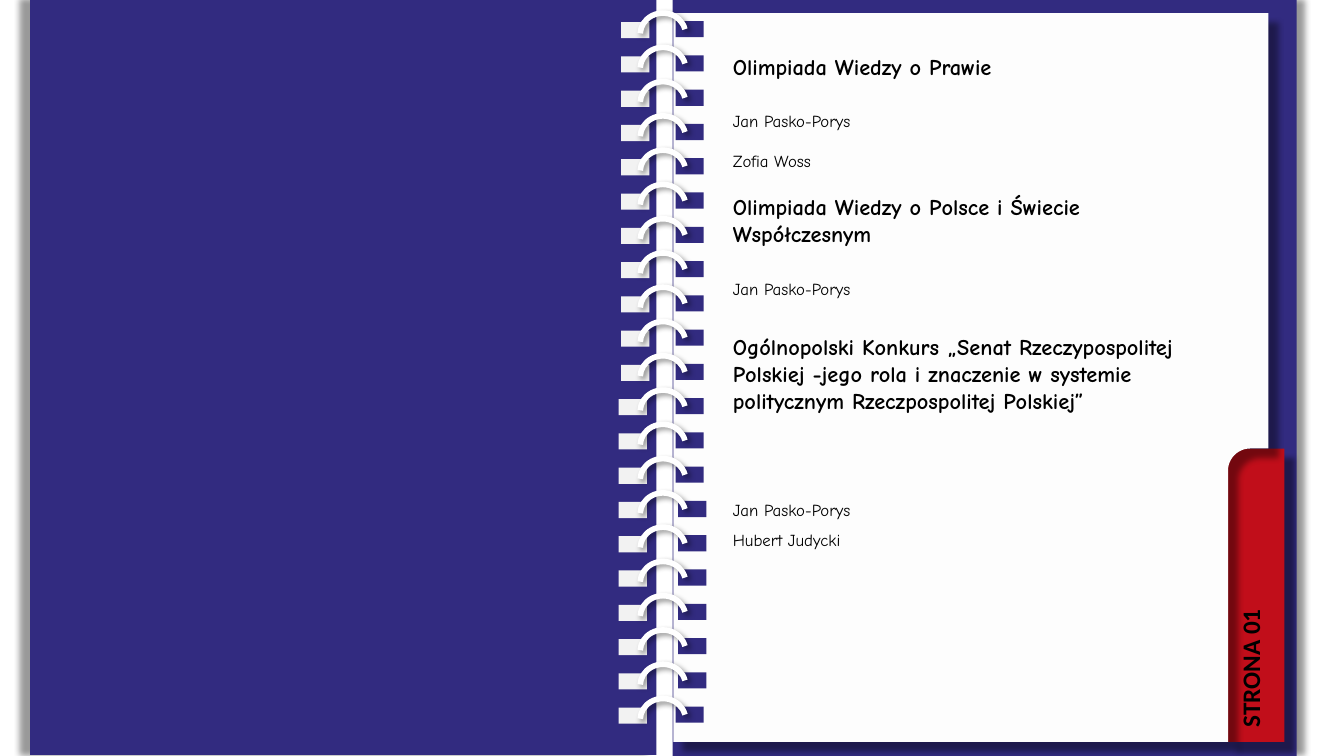
import math
import lxml.etree
import pptx
import pptx.dml.color
import pptx.enum.shapes
import pptx.enum.text
import pptx.oxml.ns
import pptx.util

Inches = pptx.util.Inches
KIND = pptx.enum.shapes.MSO_SHAPE

THEME = {
    "blue": "322B80", "red": "C10E1A", "page": "FDFDFD", "tab": "F2F2F2",
    "ring": "FFFFFF", "ink": "000000",
    "head": 16, "name": 12, "label": 18,
    "font": "Comic Neue", "side": "Calibri",
}

HEADS = [
    (0.48, 0.37, "Olimpiada Wiedzy o Prawie"),
    (1.87, 0.64, "Olimpiada Wiedzy o Polsce i Świecie Współczesnym"),
    (3.26, 1.45, "Ogólnopolski Konkurs „Senat Rzeczypospolitej Polskiej -jego rola "
                 "i znaczenie w systemie politycznym Rzeczpospolitej Polskiej”"),
]
NAMES = [
    (0.95, 0.81, [("Jan Pasko-Porys", 1.5), ("Zofia Woss", 2)]),
    (2.62, 0.37, [("Jan Pasko-Porys", 1.5)]),
    (4.81, 0.67, [("Jan Pasko-Porys", 1.5), ("Hubert Judycki", 1.5)]),
]
LABEL = "STRONA 01"
COVERS = [((0.3, -0.01, 6.21, 7.5), (7, 180)), ((6.67, 0, 6.19, 7.5), (6, 0))]
RINGS, PITCH = 21, 0.34

deck = pptx.Presentation()
deck.slide_width, deck.slide_height = Inches(13.33), Inches(7.5)
slide = deck.slides.add_slide(deck.slide_layouts[6])
shapes = slide.shapes


def tint(key):
    return pptx.dml.color.RGBColor.from_string(THEME[key])


def shade(shape, dist, angle):
    shape.shadow.inherit = False
    qn = pptx.oxml.ns.qn
    effect = shape._element.spPr.find(qn("a:effectLst"))
    outer = lxml.etree.SubElement(
        effect, qn("a:outerShdw"), blurRad=str(pptx.util.Pt(4)),
        dist=str(pptx.util.Pt(dist)), dir=str(angle * 60000),
        algn="ctr", rotWithShape="0")
    color = lxml.etree.SubElement(outer, qn("a:srgbClr"), val=THEME["ink"])
    lxml.etree.SubElement(color, qn("a:alpha"), val="40000")


def paint(shape, key, cast=None):
    shape.fill.solid()
    shape.fill.fore_color.rgb = tint(key)
    shape.line.fill.background()
    shape.shadow.inherit = False
    if cast:
        shade(shape, *cast)


def block(box, key, cast=None):
    paint(shapes.add_shape(KIND.RECTANGLE, *map(Inches, box)), key, cast)


def ring(top, start):
    arc = shapes.add_shape(KIND.ARC, *map(Inches, (6.35, top, 0.45, 0.42)))
    arc.adjustments[0], arc.adjustments[1] = start, 208.26
    arc.fill.background()
    arc.line.color.rgb = tint("ring")
    arc.line.width = pptx.util.Pt(4)
    shade(arc, 3, 45)


def write(box, lines, size, font="font", bold=False, align=None, vert=None):
    frame = shapes.add_textbox(*map(Inches, box)).text_frame
    frame.word_wrap = True
    if vert:
        frame._txBody.bodyPr.set("vert", vert)
    for i, (text, space) in enumerate(lines):
        para = frame.add_paragraph() if i else frame.paragraphs[0]
        para.line_spacing = space
        para.alignment = align
        run = para.add_run()
        run.text = text
        run.font.size = pptx.util.Pt(THEME[size])
        run.font.name = THEME[font]
        run.font.bold = bold
        run.font.color.rgb = tint("ink")


def sheet():
    turn = [math.radians(90 * i / 12) for i in range(13)]
    curve = [(12.4 - 0.22 * math.sin(t), 4.67 - 0.22 * math.cos(t)) for t in turn]
    edge = [(6.68, 0.13), (12.58, 0.13), (12.58, 4.45), *curve,
            (12.18, 7.36), (6.68, 7.36)]
    dots = [(Inches(x), Inches(y)) for x, y in edge]
    form = shapes.build_freeform(*dots[0])
    form.add_line_segments(dots[1:], close=True)
    paint(form.convert_to_shape(), "page", (10, 45))


for box, cast in COVERS:
    block(box, "blue", cast)
block((12.17, 4.45, 0.57, 2.91), "red", (10, 45))
sheet()
write((12.2, 5.72, 0.5, 1.82), [(LABEL, 1)], "label", font="side", bold=True,
      align=pptx.enum.text.PP_ALIGN.CENTER, vert="vert270")

for i in range(RINGS):
    step = PITCH * i
    left = 6.16 if i < 11 else 6.135
    right = 6.725 if 14 <= i < RINGS - 1 else 6.7
    block((left, 0.22 + step, 0.28, 0.16), "tab")
    block((right, 0.21 + step, 0.28, 0.16), "blue")
    ring(0.13 + step, 109.5)

for top, high, text in HEADS:
    write((7.17, top, 4.95, high), [(text, 1)], "head", bold=True)
for top, high, lines in NAMES:
    write((7.17, top, 5.43, high), lines, "name")

deck.save("out.pptx")
